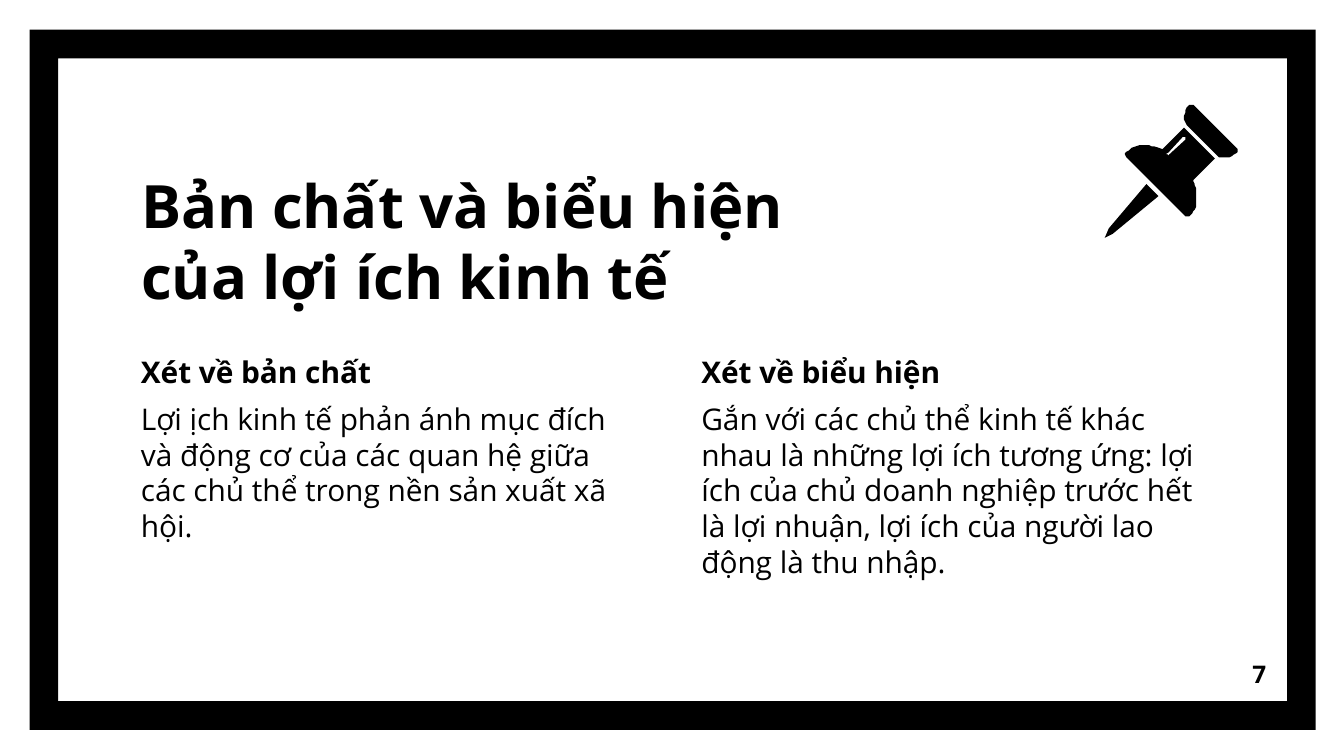
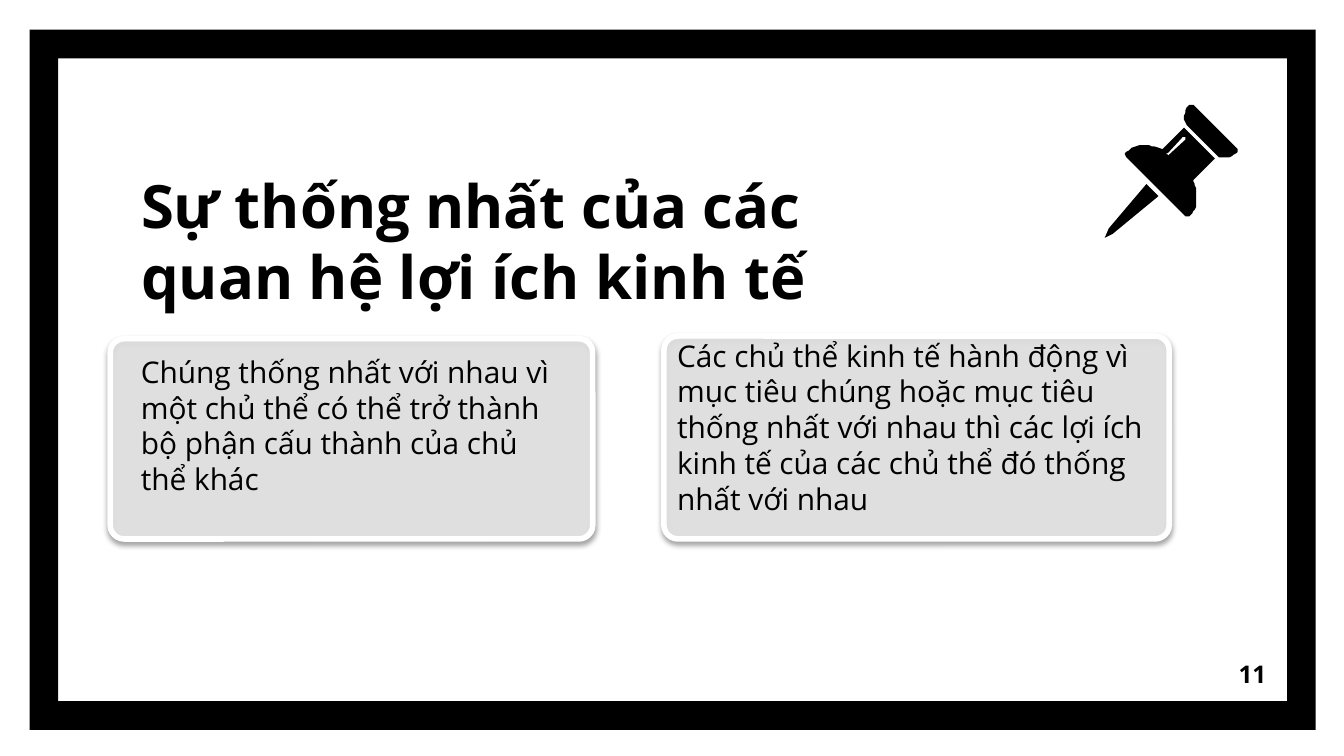
from lxml import etree
from pptx import Presentation
from pptx import util as u
from pptx.dml.color import RGBColor
from pptx.enum import shapes, text
from pptx.oxml.ns import qn

BLACK, WHITE, CARD = "000000", "FFFFFF", "EFEFEF"
FONT = "Open Sans"

# Content: body columns hold a box and (text, bold) paragraphs
SLIDES = [
    {
        "title": "Bản chất và biểu hiện của lợi ích kinh tế",
        "number": "7",
        "cards": [],
        "columns": [
            ((0.95, 2.53, 3.93, 2.33), [
                ("Xét về bản chất", True),
                ("Lợi ịch kinh tế phản ánh mục đích và động cơ của các quan hệ "
                 "giữa các chủ thể trong nền sản xuất xã hội.", False)]),
            ((5.12, 2.53, 3.93, 2.33), [
                ("Xét về biểu hiện", True),
                ("Gắn với các chủ thể kinh tế khác nhau là những lợi ích tương ứng: "
                 "lợi ích của chủ doanh nghiệp trước hết là lợi nhuận, lợi ích của "
                 "người lao động là thu nhập.", False)]),
        ],
    },
    {
        "title": "Sự thống nhất của các quan hệ lợi ích kinh tế",
        "number": "11",
        "cards": [(4.94, 2.5, 3.76, 1.51), (0.82, 2.52, 3.59, 1.49)],
        "columns": [
            ((0.95, 2.53, 3.31, 1.48), [
                ("Chúng thống nhất với nhau vì một chủ thể có thể trở thành bộ phận "
                 "cấu thành của chủ thể khác", False)]),
            ((4.94, 2.41, 3.93, 1.84), [
                ("Các chủ thể kinh tế hành động vì mục tiêu chúng hoặc mục tiêu "
                 "thống nhất với nhau thì các lợi ích kinh tế của các chủ thể đó "
                 "thống nhất với nhau", False)]),
        ],
    },
]

# Shared places
SLIDE_WIDTH = u.Inches(10)
SLIDE_HEIGHT = SLIDE_WIDTH * 9 // 16
FRAME_BOX = (0.22, 0.22, 9.57, 5.21)
TITLE_BOX = (0.95, 0.93, 5.57, 1.49)
NUMBER_BOX = (8.92, 4.8, 0.6, 0.43)

# Pushpin outlines in inches; each part is a list of closed contours
PIN_NEEDLE = [[(8.53, 1.37), (8.25, 1.7), (8.22, 1.77), (8.28, 1.74), (8.62, 1.46)]]
PIN_HEAD = [[
    (8.86, 0.78), (8.85, 0.78), (8.84, 0.79), (8.83, 0.8), (8.82, 0.82), (8.82, 0.84),
    (8.81, 0.86), (8.81, 0.89), (8.82, 0.91), (8.83, 0.93), (9.06, 1.16), (9.07, 1.17),
    (9.09, 1.17), (9.15, 1.17), (9.17, 1.16), (9.18, 1.15), (9.2, 1.14), (9.21, 1.13),
    (9.21, 1.11), (9.2, 1.1), (8.89, 0.79), (8.88, 0.78)]]
PIN_BODY = [
    [(8.81, 1.02), (8.82, 1.02), (8.82, 1.04), (8.7, 1.15), (8.69, 1.16), (8.69, 1.15),
     (8.68, 1.15), (8.68, 1.14), (8.69, 1.14), (8.8, 1.02)],
    [(8.81, 0.95), (8.65, 1.11), (8.62, 1.1), (8.59, 1.09), (8.57, 1.09), (8.55, 1.08),
     (8.48, 1.08), (8.45, 1.09), (8.42, 1.1), (8.4, 1.12), (8.38, 1.13), (8.37, 1.14),
     (8.37, 1.15), (8.38, 1.17), (8.81, 1.6), (8.82, 1.61), (8.85, 1.61), (8.87, 1.59),
     (8.88, 1.57), (8.89, 1.56), (8.9, 1.54), (8.9, 1.4), (8.89, 1.38), (8.89, 1.37),
     (8.88, 1.35), (8.88, 1.34), (9.04, 1.18)],
]


def color(value):
    return RGBColor.from_string(value)


def inches(values):
    return [u.Inches(value) for value in values]


def write(shape, paragraphs, size=16, align=text.PP_ALIGN.LEFT,
          anchor=text.MSO_ANCHOR.TOP, space_before=0):
    """Fill a shape with (text, bold) paragraphs."""
    frame = shape.text_frame
    frame.word_wrap = True
    frame.auto_size = text.MSO_AUTO_SIZE.NONE
    frame.vertical_anchor = anchor
    frame.margin_left = frame.margin_right = u.Inches(0.1)
    frame.margin_top = frame.margin_bottom = u.Inches(0.1)
    for index, (words, bold) in enumerate(paragraphs):
        paragraph = frame.add_paragraph() if index else frame.paragraphs[0]
        paragraph.alignment = align
        paragraph.space_before = u.Pt(space_before)
        run = paragraph.add_run()
        run.text = words
        run.font.name, run.font.size, run.font.bold = FONT, u.Pt(size), bold
        run.font.color.rgb = color(BLACK)


def paint(shape, fill):
    shape.shadow.inherit = False
    shape.fill.solid()
    shape.fill.fore_color.rgb = color(fill)
    shape.line.fill.background()


def add_preset(slide, kind, box, fill, adjustment):
    shape = slide.shapes.add_shape(kind, *inches(box))
    shape.adjustments[0] = adjustment
    paint(shape, fill)
    return shape


def add_card(slide, box):
    card = add_preset(slide, shapes.MSO_SHAPE.ROUNDED_RECTANGLE, box, CARD, 0.069)
    card.line.color.rgb = color(WHITE)
    card.line.width = u.Pt(3)
    # Translucent fill and soft shadow below
    properties = card.element.spPr
    fill = properties.find(qn("a:solidFill")).find(qn("a:srgbClr"))
    etree.SubElement(fill, qn("a:alpha"), val="72000")
    shadow = etree.SubElement(
        properties.find(qn("a:effectLst")), qn("a:outerShdw"),
        blurRad=str(u.Pt(3.1)), dist=str(u.Pt(1.6)), dir="5400000", rotWithShape="0")
    shade = etree.SubElement(shadow, qn("a:srgbClr"), val=BLACK)
    etree.SubElement(shade, qn("a:alpha"), val="38000")


def add_pin(slide):
    pin = slide.shapes.add_group_shape()
    for contours in (PIN_NEEDLE, PIN_HEAD, PIN_BODY):
        builder = pin.shapes.build_freeform(*inches(contours[0][0]))
        for index, contour in enumerate(contours):
            if index:
                builder.move_to(*inches(contour[0]))
            builder.add_line_segments([inches(point) for point in contour[1:]], close=True)
        paint(builder.convert_to_shape(), BLACK)


def add_slide(presentation, content):
    slide = presentation.slides.add_slide(presentation.slide_layouts[5])
    add_preset(slide, shapes.MSO_SHAPE.FRAME, FRAME_BOX, BLACK, 0.041)
    for box in content["cards"]:
        add_card(slide, box)

    # Title
    title = slide.shapes.title
    title.left, title.top, title.width, title.height = inches(TITLE_BOX)
    write(title, [(content["title"], True)], size=32, anchor=text.MSO_ANCHOR.BOTTOM)

    # Body columns
    for box, paragraphs in content["columns"]:
        write(slide.shapes.add_textbox(*inches(box)), paragraphs, space_before=6)

    # Pushpin and slide number
    add_pin(slide)
    write(slide.shapes.add_textbox(*inches(NUMBER_BOX)), [(content["number"], True)],
          size=13, align=text.PP_ALIGN.RIGHT, anchor=text.MSO_ANCHOR.MIDDLE)


def main():
    presentation = Presentation()
    presentation.slide_width, presentation.slide_height = SLIDE_WIDTH, SLIDE_HEIGHT
    for content in SLIDES:
        add_slide(presentation, content)
    presentation.save("out.pptx")


if __name__ == "__main__":
    main()
